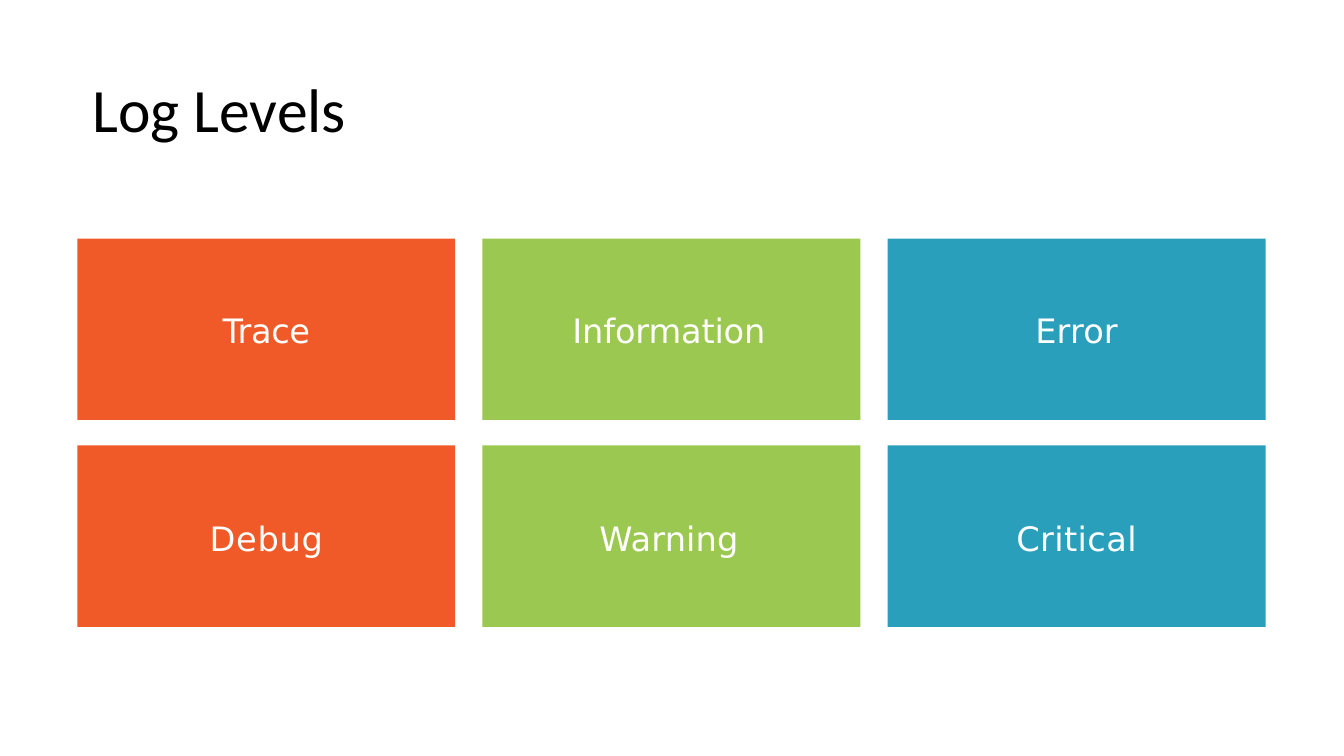
"""Build the Log Levels slide: a title above a grid of six coloured tiles."""
import pptx
import pptx.util
import pptx.dml.color
import pptx.enum.shapes
import pptx.enum.text

Pt = pptx.util.Pt
RGB = pptx.dml.color.RGBColor.from_string
ALIGN = pptx.enum.text.PP_ALIGN
MIDDLE = pptx.enum.text.MSO_ANCHOR.MIDDLE

TITLE = "Log Levels"
COLUMNS = [
    ("F05A28", 0, [("Trace", -0.3), ("Debug", 0.5)]),
    ("9BC850", 3.6, [("Information", -0.1), ("Warning", 0.1)]),
    ("2A9FBC", 0, [("Error", 0.1), ("Critical", 0.3)]),
]
THEME = {
    "title": {"font": "Calibri", "size": 44, "color": "000000"},
    "tile": {"font": "DejaVu Sans", "size": 24, "color": "FFFFFF"},
}
SLIDE_W, SLIDE_H = 960, 540
TITLE_BOX = (66, 28.4, 828, 104.4)
GRID_LEFT, GRID_TOP = 55.2, 170.4
TILE_W, TILE_H = 270, 129.6
GAP_X, GAP_Y = 19.4, 18.2
TOP_INSETS = (1, 3)


def write(shape, text, style, align, top_inset=0, right_inset=0):
    tf = shape.text_frame
    tf.word_wrap = True
    tf.vertical_anchor = MIDDLE
    tf.margin_left = tf.margin_bottom = 0
    tf.margin_top, tf.margin_right = Pt(top_inset), Pt(right_inset)
    p = tf.paragraphs[0]
    p.alignment = align
    p.font.name = style["font"]
    p.font.size = Pt(style["size"])
    p.font.color.rgb = RGB(style["color"])
    r = p.add_run()
    r.text = text
    return p, r


def add_tile(s, col, row, color, right_inset, text, spacing):
    left = GRID_LEFT + col * (TILE_W + GAP_X)
    top = GRID_TOP + row * (TILE_H + GAP_Y)
    sp = s.shapes.add_shape(pptx.enum.shapes.MSO_SHAPE.RECTANGLE,
                            Pt(left), Pt(top), Pt(TILE_W), Pt(TILE_H))
    sp.shadow.inherit = False
    sp.fill.solid()
    sp.fill.fore_color.rgb = RGB(color)
    sp.line.fill.background()
    p, r = write(sp, text, THEME["tile"], ALIGN.CENTER, TOP_INSETS[row], right_inset)
    r._r.get_or_add_rPr().set("spc", str(round(spacing * 100)))


def main():
    prs = pptx.Presentation()
    prs.slide_width, prs.slide_height = Pt(SLIDE_W), Pt(SLIDE_H)
    s = prs.slides.add_slide(prs.slide_layouts.get_by_name("Title Only"))
    title = s.shapes.title
    title.left, title.top, title.width, title.height = map(Pt, TITLE_BOX)
    p, r = write(title, TITLE, THEME["title"], ALIGN.LEFT)
    p.line_spacing = 0.9
    for col, (color, right_inset, levels) in enumerate(COLUMNS):
        for row, (text, spacing) in enumerate(levels):
            add_tile(s, col, row, color, right_inset, text, spacing)
    prs.save("out.pptx")


if __name__ == "__main__":
    main()
